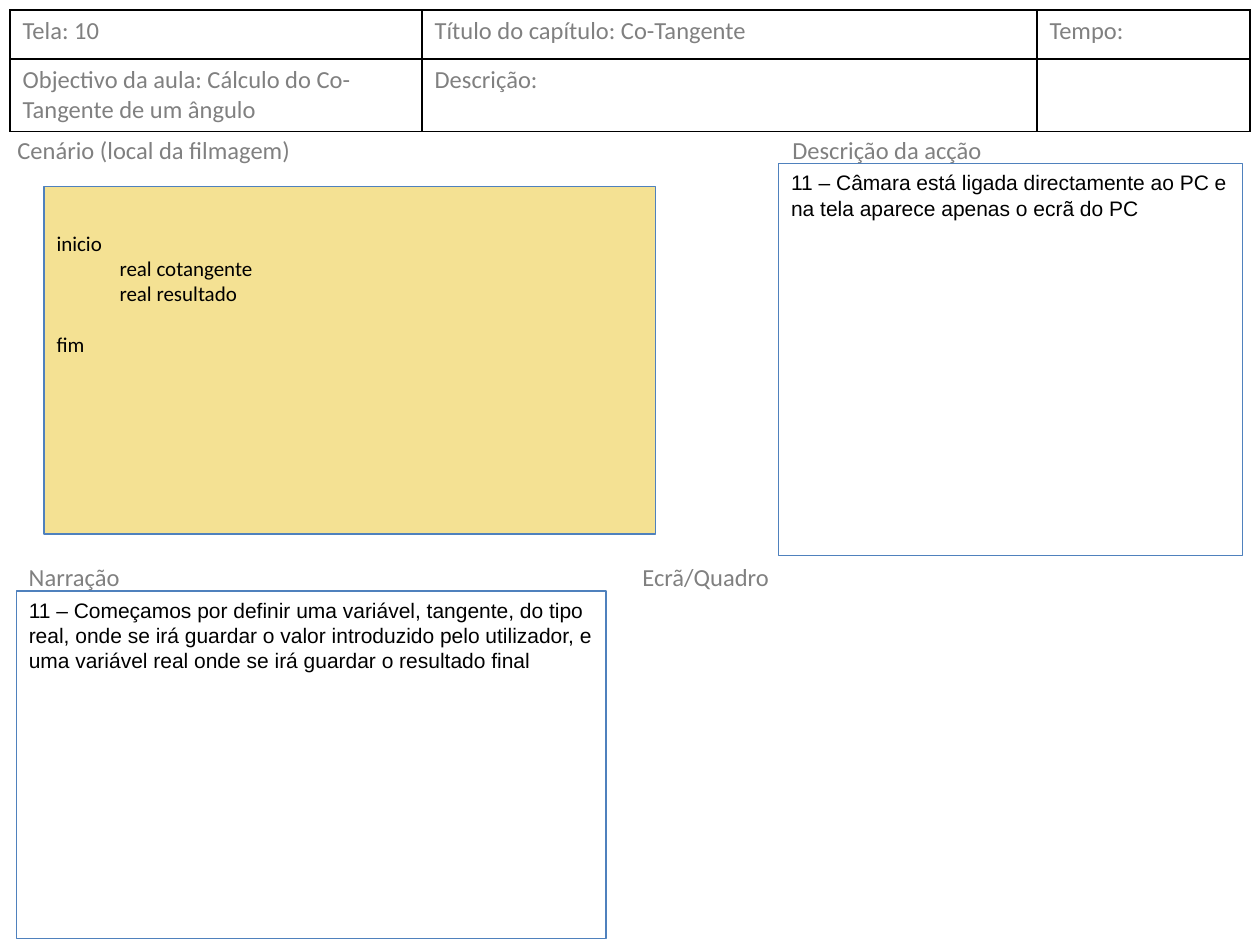
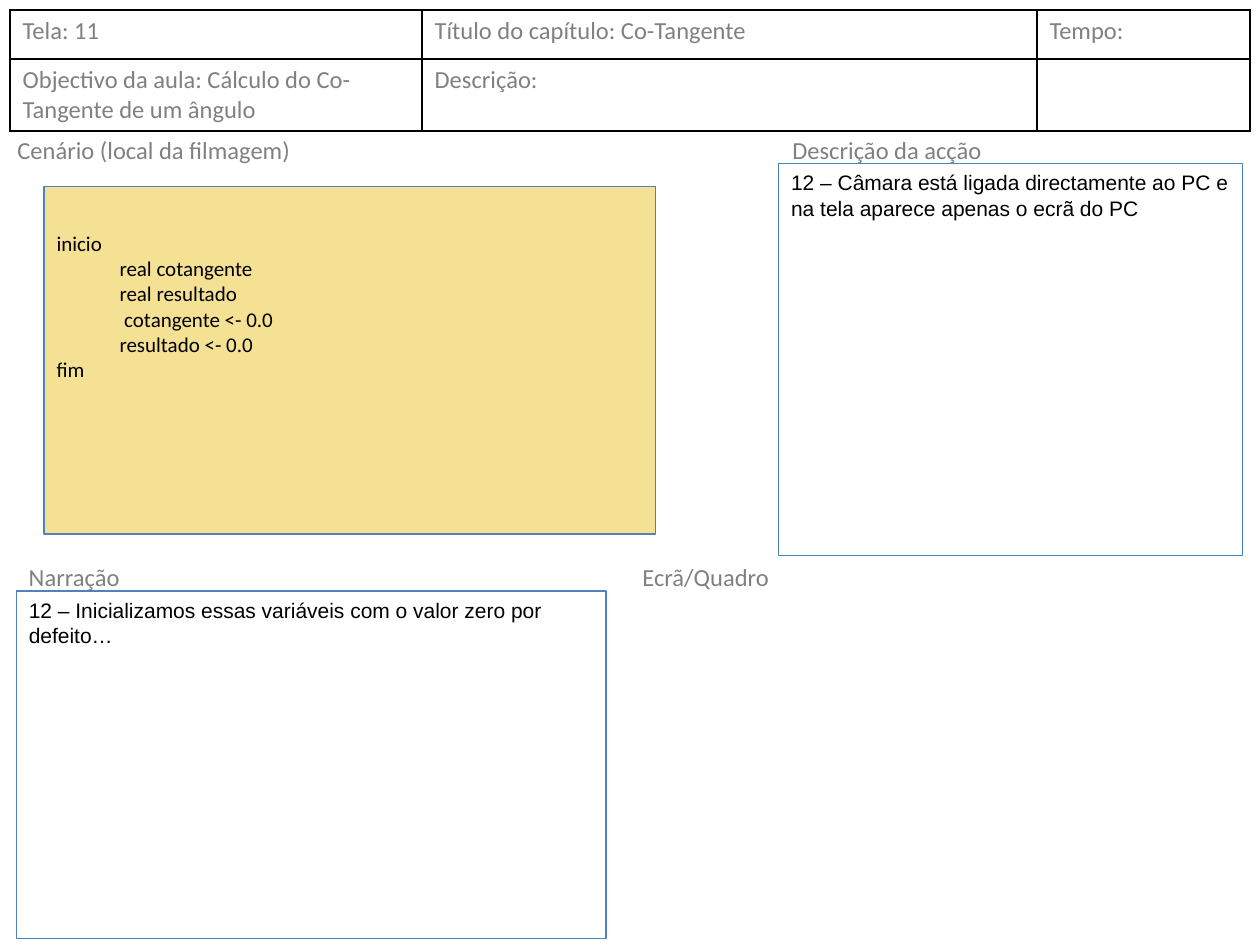
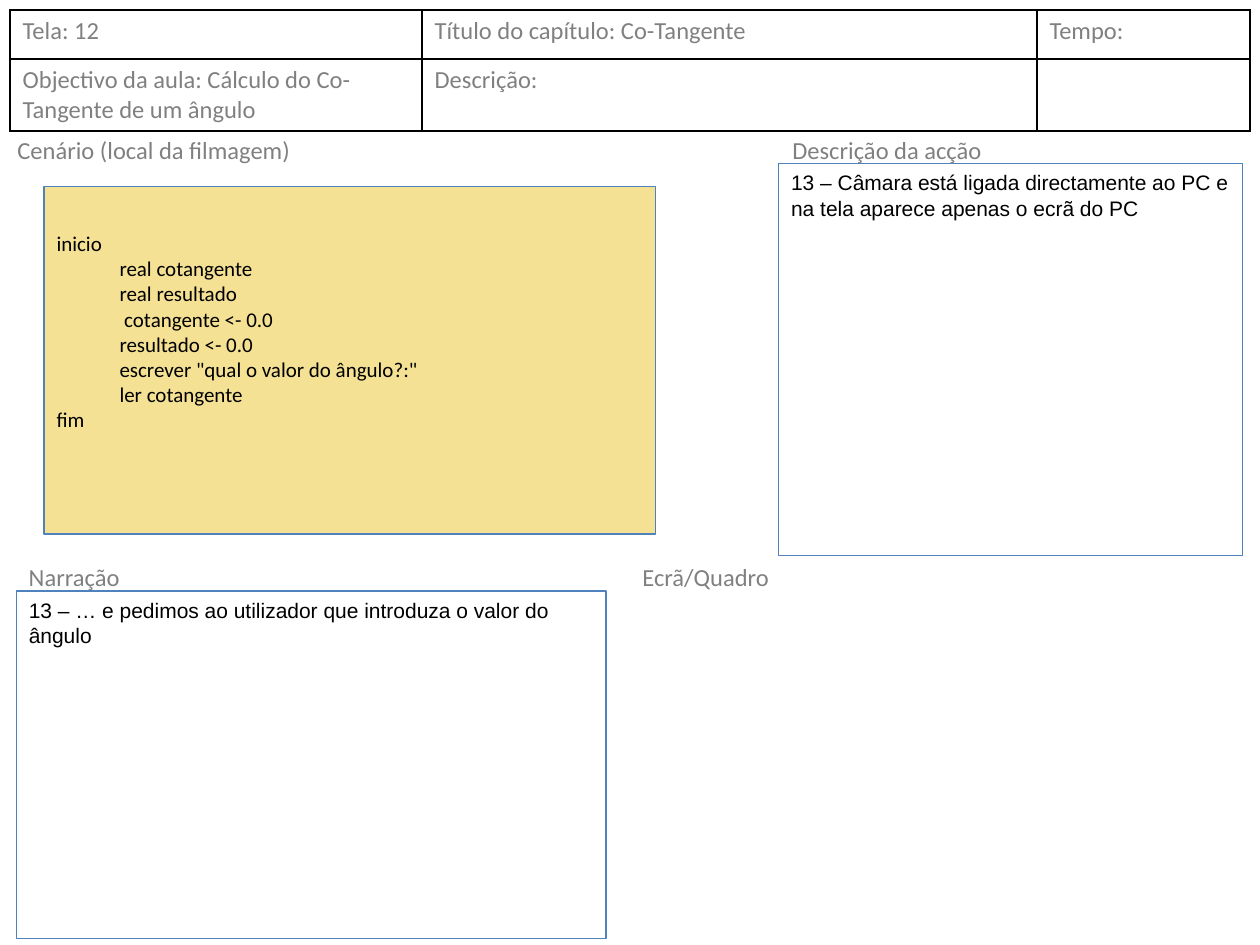
"""Build three storyboard slides for a lesson on the cotangent."""
from dataclasses import dataclass
from typing import Any

import pptx
import pptx.dml.color
import pptx.enum.shapes
import pptx.enum.text
import pptx.oxml
import pptx.oxml.ns
import pptx.util

WIDTH, HEIGHT = pptx.util.Inches(10), pptx.util.Inches(7.5)
COLUMNS, ROWS = 100, 75
COLORS = {"label": "808080", "body": "000000", "frame": "4F81BD", "board": "F4E193", "rule": "000000"}
FONTS = {
    "label": {"name": "Calibri", "size": pptx.util.Pt(14)},
    "body": {"name": "Arial", "size": pptx.util.Pt(12)},
    "code": {"name": "Calibri", "size": pptx.util.Pt(12)},
}
INKS = {"label": "label", "body": "body", "code": "body"}
FRAME_FORMAT = {"word_wrap": True, "vertical_anchor": pptx.enum.text.MSO_ANCHOR.TOP}
TABLE_FORMAT = {"first_row": False, "horz_banding": False}
CODE_TOP_INSET = 3.5
BLANK_LINE = pptx.util.Pt(14.5)
BORDER = pptx.util.Pt(1)


@dataclass(frozen=True)
class Area:
    """A rectangle in grid columns and rows."""

    left: float
    top: float
    width: float
    height: float

    def lengths(self) -> tuple[int, int, int, int]:
        """Return the rectangle in slide units."""
        return across(self.left), down(self.top), across(self.width), down(self.height)


@dataclass(frozen=True)
class Label:
    """A grey heading above a storyboard section."""

    text: str
    area: Area


@dataclass(frozen=True)
class Scene:
    """The content that changes from screen to screen."""

    screen: int
    narration: str
    code: tuple[str, ...]
    gap_before_end: bool = False


HEADER = Area(0.8, 0.8, 98.4, 9.6)
HEADER_COLUMNS = (32.7, 48.8, 16.9)
HEADER_ROWS = (3.9, 5.7)
NARRATION = Area(1.3, 46.9, 46.8, 27.6)
BOARD = Area(3.5, 14.8, 48.5, 27.6)
ACTION = Area(61.8, 13, 36.8, 31.1)
LABELS = (
    Label("Cenário (local da filmagem)", Area(0.4, 10.2, 41.7, 3.3)),
    Label("Narração", Area(1.3, 44.1, 46.4, 3.3)),
    Label("Ecrã/Quadro", Area(50, 44.1, 46.4, 3.3)),
    Label("Descrição da acção", Area(61.9, 10.2, 25.2, 3.3)),
)
DECLARED = ("real cotangente", "real resultado")
CLEARED = DECLARED + (" cotangente <- 0.0", "resultado <- 0.0")
ASKED = CLEARED + ('escrever "qual o valor do ângulo?:"', "ler cotangente")
SCENES = (
    Scene(
        10,
        "Começamos por definir uma variável, tangente, do tipo real, onde se irá guardar o valor "
        "introduzido pelo utilizador, e uma variável real onde se irá guardar o resultado final",
        DECLARED,
        gap_before_end=True,
    ),
    Scene(11, "Inicializamos essas variáveis com o valor zero por defeito…", CLEARED),
    Scene(12, "… e pedimos ao utilizador que introduza o valor do ângulo", ASKED),
)


def across(columns: float) -> int:
    """Convert grid columns to slide units."""
    return round(WIDTH * columns / COLUMNS)


def down(rows: float) -> int:
    """Convert grid rows to slide units."""
    return round(HEIGHT * rows / ROWS)


def color(name: str) -> pptx.dml.color.RGBColor:
    """Look up a named colour."""
    return pptx.dml.color.RGBColor.from_string(COLORS[name])


def apply(target: Any, values: dict[str, Any]) -> None:
    """Set each attribute named in a dict of format values."""
    for name, value in values.items():
        setattr(target, name, value)


def write(text_frame: Any, lines: tuple[str, ...], style: str) -> None:
    """Write one paragraph per line in the given style."""
    for index, line in enumerate(lines):
        para = text_frame.add_paragraph() if index else text_frame.paragraphs[0]
        para.alignment = pptx.enum.text.PP_ALIGN.LEFT
        span = para.add_run()
        span.text = line
        apply(span.font, FONTS[style])
        span.font.color.rgb = color(INKS[style])


def draw_label(page: Any, label: Label) -> None:
    """Draw a section heading."""
    box = page.shapes.add_textbox(*label.area.lengths())
    apply(box.text_frame, FRAME_FORMAT)
    write(box.text_frame, (label.text,), "label")


def draw_panel(page: Any, area: Area, lines: tuple[str, ...], style: str = "body", fill: str = "") -> Any:
    """Draw a framed panel and return its text frame."""
    box = page.shapes.add_shape(pptx.enum.shapes.MSO_SHAPE.RECTANGLE, *area.lengths())
    box.shadow.inherit = False
    if fill:
        box.fill.solid()
        box.fill.fore_color.rgb = color(fill)
    else:
        box.fill.background()
    box.line.color.rgb = color("frame")
    box.line.width = pptx.util.Pt(0.75)
    apply(box.text_frame, FRAME_FORMAT)
    write(box.text_frame, lines, style)
    return box.text_frame


def draw_board(page: Any, scene: Scene) -> None:
    """Draw the program listing of a scene."""
    lines = ("inicio", *(f"\t{line}" for line in scene.code), "fim")
    text_frame = draw_panel(page, BOARD, lines, "code", "board")
    text_frame.margin_top = down(CODE_TOP_INSET)
    if scene.gap_before_end:
        text_frame.paragraphs[-1].space_before = BLANK_LINE


def add_borders(cell: Any) -> None:
    """Rule all four sides of a table cell."""
    properties = cell._tc.get_or_add_tcPr()
    for index, side in enumerate(("lnL", "lnR", "lnT", "lnB")):
        rule = pptx.oxml.parse_xml(
            f'<a:{side} {pptx.oxml.ns.nsdecls("a")} w="{BORDER}"><a:solidFill>'
            f'<a:srgbClr val="{COLORS["rule"]}"/></a:solidFill></a:{side}>'
        )
        properties.insert(index, rule)


def draw_header(page: Any, screen: int) -> None:
    """Draw the table that identifies the screen."""
    texts = (
        (f"Tela: {screen}", "Título do capítulo: Co-Tangente", "Tempo:"),
        ("Objectivo da aula: Cálculo do Co-Tangente de um ângulo", "Descrição:", ""),
    )
    table = page.shapes.add_table(len(HEADER_ROWS), len(HEADER_COLUMNS), *HEADER.lengths()).table
    apply(table, TABLE_FORMAT)
    for column, width in zip(table.columns, HEADER_COLUMNS):
        column.width = across(width)
    for row, height, row_texts in zip(table.rows, HEADER_ROWS, texts):
        row.height = down(height)
        for cell, text in zip(row.cells, row_texts):
            cell.fill.background()
            add_borders(cell)
            if text:
                write(cell.text_frame, (text,), "label")


def draw_scene(deck: Any, scene: Scene) -> None:
    """Add one storyboard slide."""
    page = deck.slides.add_slide(deck.slide_layouts[6])
    number = scene.screen + 1
    action = f"{number} – Câmara está ligada directamente ao PC e na tela aparece apenas o ecrã do PC"
    setting, narration, screen, description = LABELS
    draw_header(page, scene.screen)
    draw_label(page, setting)
    draw_panel(page, NARRATION, (f"{number} – {scene.narration}",))
    draw_label(page, narration)
    draw_board(page, scene)
    draw_label(page, screen)
    draw_panel(page, ACTION, (action,))
    draw_label(page, description)


def main() -> None:
    """Build and save the deck."""
    deck = pptx.Presentation()
    apply(deck, {"slide_width": WIDTH, "slide_height": HEIGHT})
    for scene in SCENES:
        draw_scene(deck, scene)
    deck.save("out.pptx")


if __name__ == "__main__":
    main()
